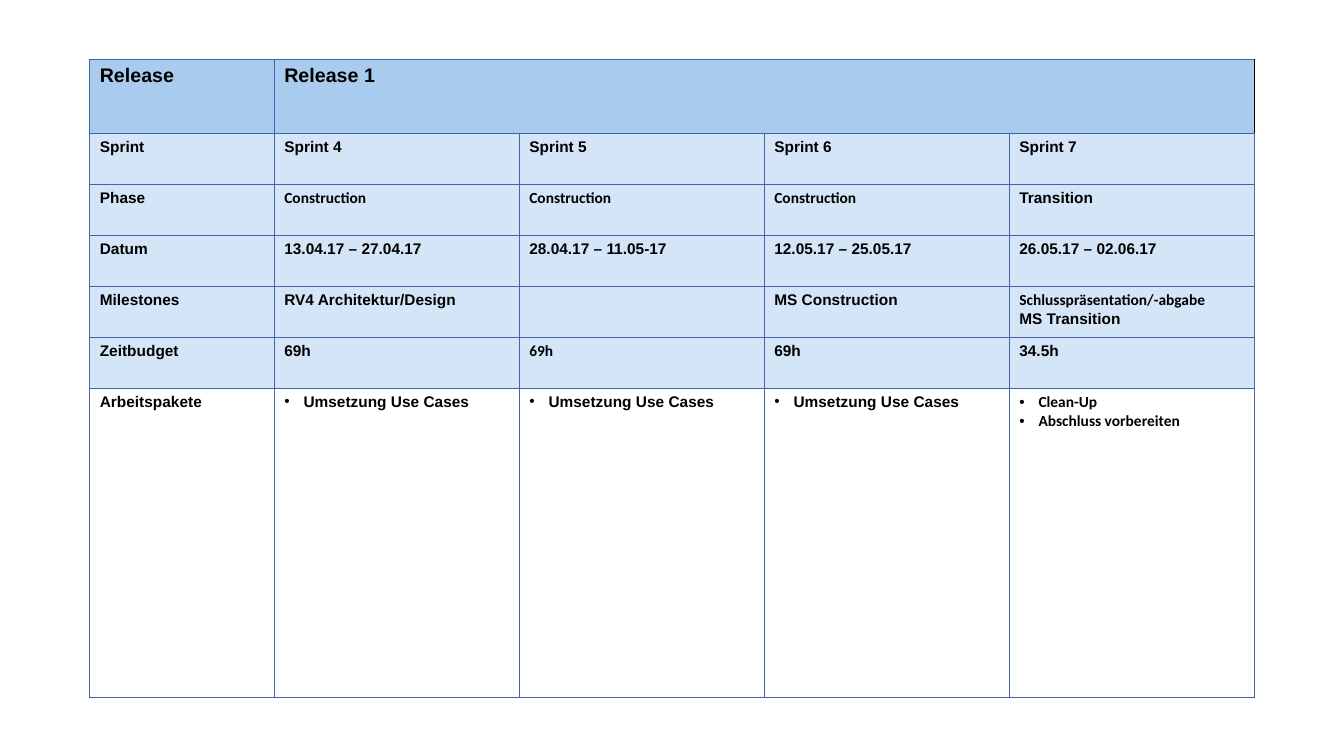
from lxml import etree
from pptx import Presentation
from pptx.dml.color import RGBColor
from pptx.oxml.ns import qn
from pptx.util import Inches, Pt

HEADER_BLUE = RGBColor(0xA9, 0xCC, 0xEE)
ROW_BLUE = RGBColor(0xD4, 0xE5, 0xF7)
WHITE = RGBColor(0xFF, 0xFF, 0xFF)
BLACK = RGBColor(0, 0, 0)
BORDER_BLUE = RGBColor(0x46, 0x62, 0xAA)

ARIAL, CALIBRI = "Arial", "Calibri"
LABEL_WIDTH, HEADER_HEIGHT, PACKAGES_HEIGHT = 1.83, 0.73, 3.07
BULLET_INDENT = Inches(0.19)

# Each cell is a list of lines; a line is text in Arial or a (text, font) pair
CONSTRUCTION = [("Construction", CALIBRI)]
USE_CASES = ["Umsetzung Use Cases"]
PLAN = [
    [["Release"], ["Release 1"], [], [], []],
    [["Sprint"], ["Sprint 4"], ["Sprint 5"], ["Sprint 6"], ["Sprint 7"]],
    [["Phase"], CONSTRUCTION, CONSTRUCTION, CONSTRUCTION, ["Transition"]],
    [["Datum"], ["13.04.17 – 27.04.17"], ["28.04.17 – 11.05-17"],
     ["12.05.17 – 25.05.17"], ["26.05.17 – 02.06.17"]],
    [["Milestones"], ["RV4 Architektur/Design"], [], ["MS Construction"],
     [("Schlusspräsentation/-abgabe", CALIBRI), "MS Transition"]],
    [["Zeitbudget"], ["69h"], [("69h", CALIBRI)], ["69h"], ["34.5h"]],
    [["Arbeitspakete"], USE_CASES, USE_CASES, USE_CASES,
     [("Clean-Up", CALIBRI), ("Abschluss vorbereiten", CALIBRI)]],
]


def set_borders(cell, right_color):
    """Draw all four cell edges; they must precede the fill in the XML."""
    properties = cell._tc.get_or_add_tcPr()
    for position, side in enumerate(("lnL", "lnR", "lnT", "lnB")):
        line = etree.Element(qn(f"a:{side}"), w=str(Pt(0.74)))
        fill = etree.SubElement(line, qn("a:solidFill"))
        color = right_color if side == "lnR" else BORDER_BLUE
        etree.SubElement(fill, qn("a:srgbClr"), val=str(color))
        properties.insert(position, line)


def add_bullet(paragraph):
    properties = paragraph._p.get_or_add_pPr()
    properties.set("marL", str(BULLET_INDENT))
    properties.set("indent", str(-BULLET_INDENT))
    etree.SubElement(properties, qn("a:buFont"), typeface=ARIAL)
    etree.SubElement(properties, qn("a:buChar"), char="•")


def write_lines(cell, lines, size, bulleted):
    frame = cell.text_frame
    for index, line in enumerate(lines):
        text, font_name = (line, ARIAL) if isinstance(line, str) else line
        paragraph = frame.add_paragraph() if index else frame.paragraphs[0]
        if bulleted:
            add_bullet(paragraph)
        run = paragraph.add_run()
        run.text = text
        run.font.name = font_name
        run.font.size = Pt(size)
        run.font.bold = True
        run.font.color.rgb = BLACK


def add_release_plan(slide, left, top, width, height):
    last_row, last_column = len(PLAN) - 1, len(PLAN[0]) - 1
    table = slide.shapes.add_table(
        last_row + 1, last_column + 1,
        Inches(left), Inches(top), Inches(width), Inches(height)).table

    # Sprint columns and detail rows share the remaining space equally
    sprint_width = (width - LABEL_WIDTH) / last_column
    detail_height = (height - HEADER_HEIGHT - PACKAGES_HEIGHT) / (last_row - 1)
    for c, column in enumerate(table.columns):
        column.width = Inches(sprint_width if c else LABEL_WIDTH)
    for r, row in enumerate(table.rows):
        row.height = Inches({0: HEADER_HEIGHT, last_row: PACKAGES_HEIGHT}.get(r, detail_height))

    # Cell contents and styling
    for r, row in enumerate(PLAN):
        for c, lines in enumerate(row):
            cell = table.cell(r, c)
            cell.fill.solid()
            cell.fill.fore_color.rgb = {0: HEADER_BLUE, last_row: WHITE}.get(r, ROW_BLUE)
            set_borders(cell, BLACK if r == 0 and c else BORDER_BLUE)
            write_lines(cell, lines, 11 if r else 14, r == last_row and c > 0)
    table.cell(0, 1).merge(table.cell(0, last_column))


presentation = Presentation()
presentation.slide_width = Inches(13.33)
presentation.slide_height = Inches(7.5)
plan_slide = presentation.slides.add_slide(presentation.slide_layouts[6])
add_release_plan(plan_slide, 0.89, 0.59, 11.55, 6.33)
presentation.save("out.pptx")
